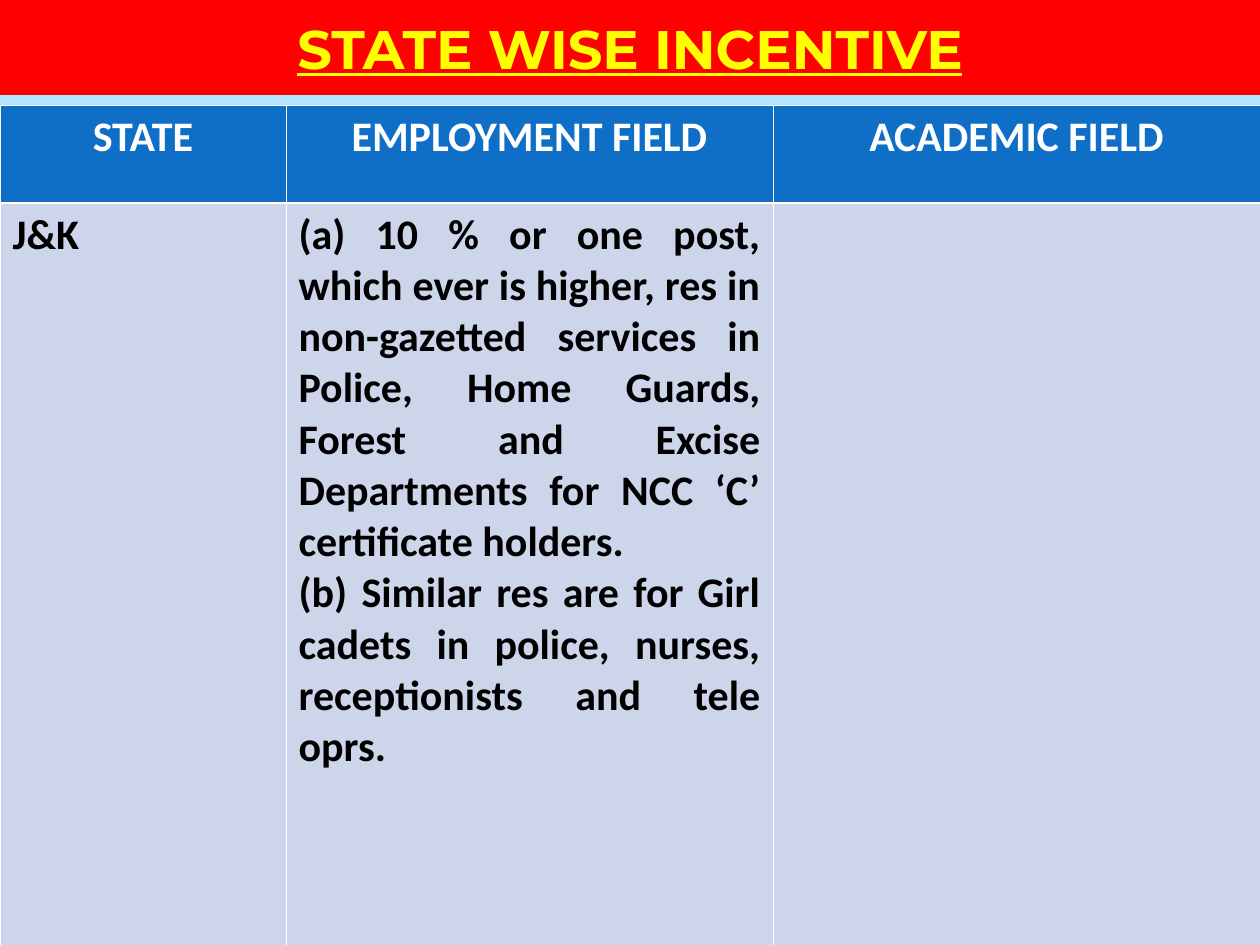
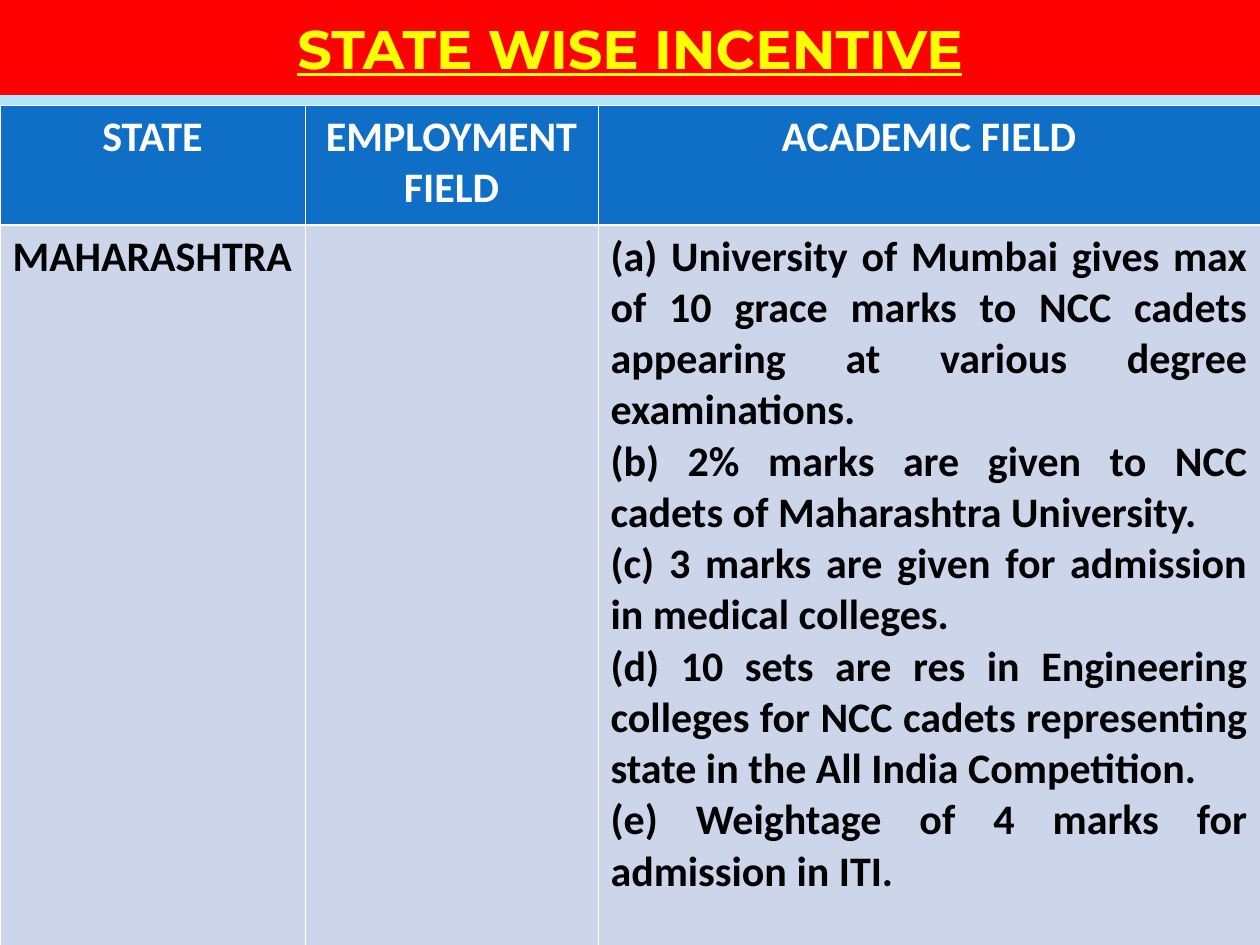
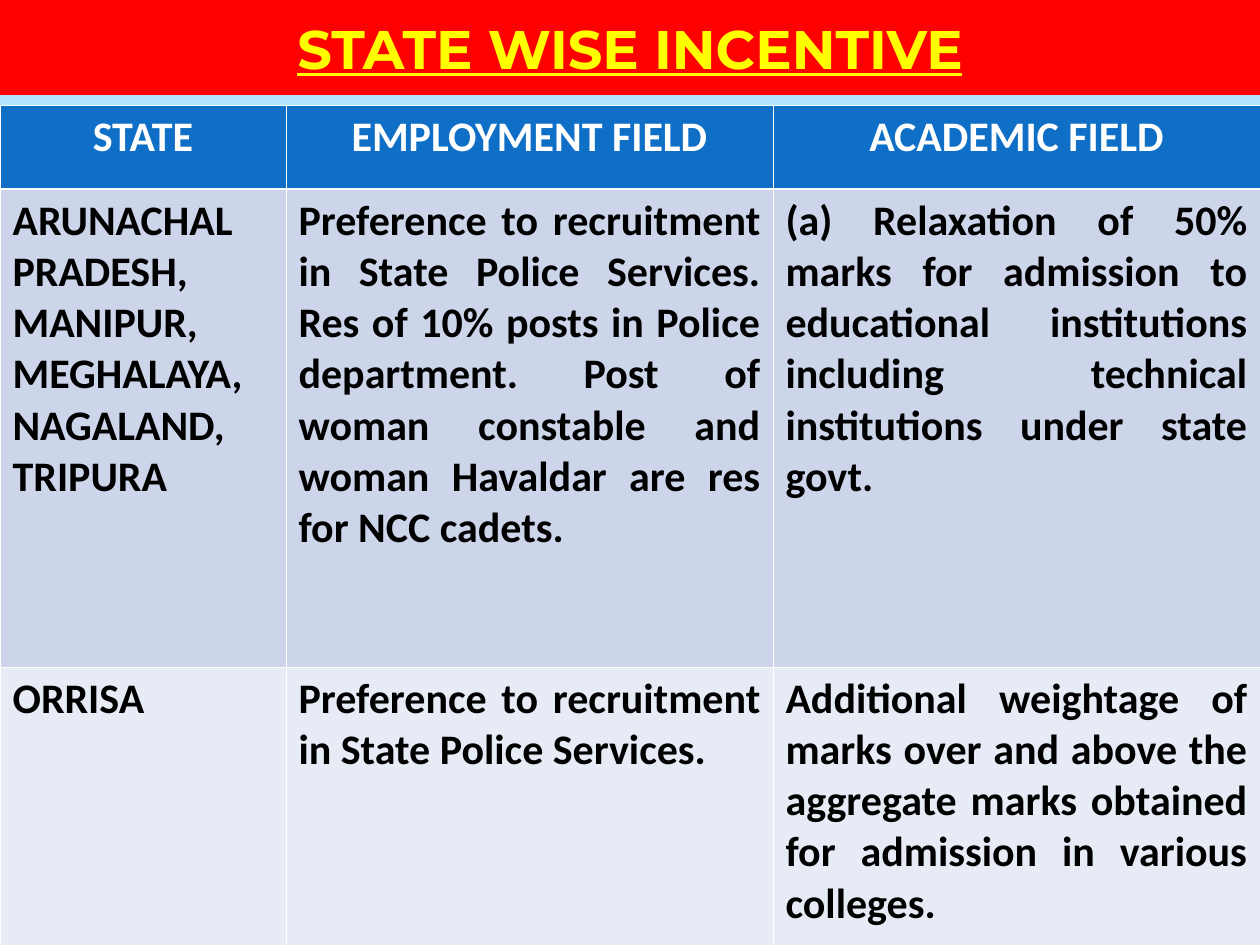
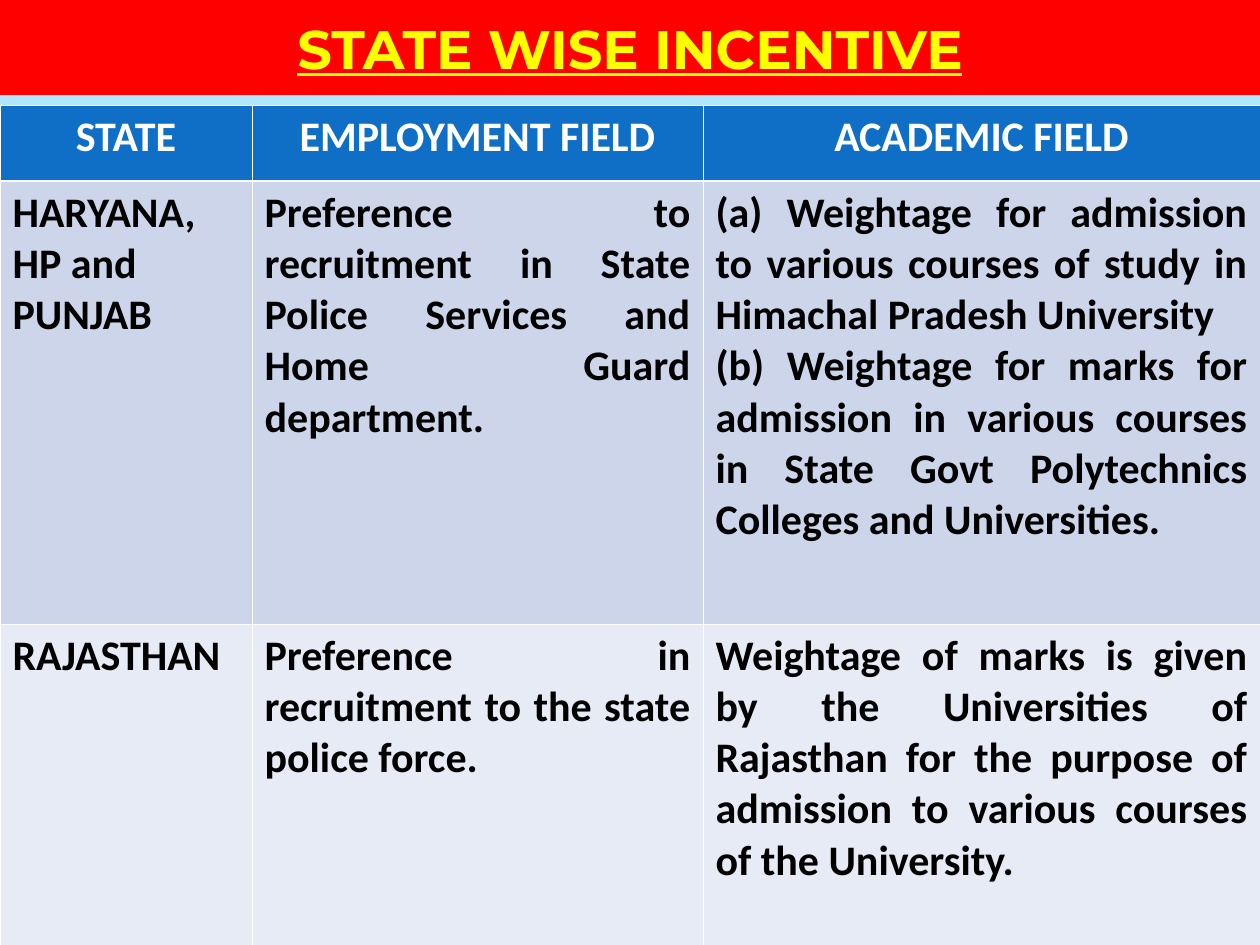
from lxml.etree import SubElement
from pptx import Presentation
from pptx.dml.color import RGBColor
from pptx.enum.shapes import MSO_SHAPE
from pptx.enum.text import MSO_ANCHOR, PP_ALIGN
from pptx.oxml.ns import qn
from pptx.util import Pt

SCALE = 914400 / 126
WIDE, HIGH = 1260, 945
BAND = (0, 0, WIDE, 95)
GRID = (0, 105, WIDE, 840)
TITLE = "STATE WISE INCENTIVE"
HEADS = ["STATE", "EMPLOYMENT FIELD", "ACADEMIC FIELD"]
THIN, THICK = 0.45, 1.47
COLORS = {
    "back": "B2E5FF",
    "band": "FF0000",
    "title": "FFFF00",
    "head": "0F6FC6",
    "odd": "CCD5EA",
    "even": "E7EBF5",
    "line": "FFFFFF",
    "light": "FFFFFF",
    "dark": "000000",
}

# Column widths, row heights and body rows; a cell is a list of paragraphs
PAGES = [
    ((286, 487, 487), (98, 742), [
        [["J&K"],
         ["(a) 10 % or one post, which ever is higher, res in non-gazetted "
          "services in Police, Home Guards, Forest and Excise Departments "
          "for NCC ‘C’ certificate holders.",
          "(b) Similar res are for Girl cadets in police, nurses, "
          "receptionists and tele oprs."],
         []],
    ]),
    ((305, 293, 662), (120, 720), [
        [["MAHARASHTRA"],
         [],
         ["(a) University of Mumbai gives max of 10 grace marks to NCC "
          "cadets appearing at various degree examinations.",
          "(b) 2% marks are given to NCC cadets of Maharashtra University.",
          "(c) 3 marks are given for admission in medical colleges.",
          "(d) 10 sets are res in Engineering colleges for NCC cadets "
          "representing state in the All India Competition.",
          "(e) Weightage of 4 marks for admission in ITI."]],
    ]),
    ((286, 487, 487), (84, 478, 278), [
        [["ARUNACHAL PRADESH, MANIPUR, MEGHALAYA, NAGALAND, TRIPURA"],
         ["Preference to recruitment in State Police Services. Res of 10% "
          "posts in Police department. Post of woman constable and woman "
          "Havaldar are res for NCC cadets."],
         ["(a) Relaxation of 50% marks for admission to educational "
          "institutions including technical institutions under state govt."]],
        [["ORRISA"],
         ["Preference to recruitment in State Police Services."],
         ["Additional weightage of marks over and above the aggregate marks "
          "obtained for admission in various colleges."]],
    ]),
    ((252, 451, 557), (76, 443, 321), [
        [["HARYANA,", "HP and", "PUNJAB"],
         ["Preference to recruitment in State Police Services and Home "
          "Guard department."],
         ["(a) Weightage for admission to various courses of study in "
          "Himachal Pradesh University",
          "(b) Weightage for marks for admission in various courses in State "
          "Govt Polytechnics Colleges and Universities."]],
        [["RAJASTHAN"],
         ["Preference in recruitment to the state police force."],
         ["Weightage of marks is given by the Universities of Rajasthan for "
          "the purpose of admission to various courses of the University."]],
    ]),
]


def px(size):
    return round(size * SCALE)


def paint(fill, name):
    fill.solid()
    fill.fore_color.rgb = RGBColor.from_string(COLORS[name])


def write(frame, texts, align, face, size, color, under=None):
    """Fill a text frame with one bold run per paragraph."""
    for i, text in enumerate(texts):
        para = frame.add_paragraph() if i else frame.paragraphs[0]
        para.alignment = align
        run = para.add_run()
        run.text = text
        font = run.font
        font.name, font.size = face, Pt(size)
        font.bold, font.underline = True, under
        font.color.rgb = RGBColor.from_string(COLORS[color])


def edge(cell, sides):
    """Draw the cell borders; widths are in points."""
    props = cell._tc.get_or_add_tcPr()
    for side, width in sides.items():
        line = SubElement(props, qn(f"a:ln{side}"), w=str(Pt(width)))
        fill = SubElement(line, qn("a:solidFill"))
        SubElement(fill, qn("a:srgbClr"), val=COLORS["line"])


def add_band(slide, box):
    band = slide.shapes.add_shape(MSO_SHAPE.RECTANGLE, *map(px, box))
    band.shadow.inherit = False
    paint(band.fill, "band")
    band.line.fill.background()
    frame = band.text_frame
    frame.word_wrap = True
    frame.vertical_anchor = MSO_ANCHOR.MIDDLE
    write(frame, [TITLE], PP_ALIGN.CENTER, "Montserrat", 31, "title", True)


def add_grid(slide, box, cols, rows, body):
    data = [[[head] for head in HEADS]] + body
    table = slide.shapes.add_table(len(rows), len(cols), *map(px, box)).table
    for col, width in zip(table.columns, cols):
        col.width = px(width)
    for row, height in zip(table.rows, rows):
        row.height = px(height)
    for r, line in enumerate(data):
        # Header row first, then alternating body rows
        if r == 0:
            back, ink, align = "head", "light", PP_ALIGN.CENTER
        else:
            back, ink, align = "odd" if r % 2 else "even", "dark", PP_ALIGN.JUSTIFY
        sides = {"L": THIN, "R": THIN,
                 "T": THICK if r == 1 else THIN,
                 "B": THICK if r == 0 else THIN}
        for c, texts in enumerate(line):
            cell = table.cell(r, c)
            edge(cell, sides)
            paint(cell.fill, back)
            write(cell.text_frame, texts, align, "Calibri", 24, ink)


def add_page(deck, cols, rows, body):
    slide = deck.slides.add_slide(deck.slide_layouts[6])
    paint(slide.background.fill, "back")
    add_band(slide, BAND)
    add_grid(slide, GRID, cols, rows, body)


def main():
    deck = Presentation()
    deck.slide_width, deck.slide_height = px(WIDE), px(HIGH)
    for page in PAGES:
        add_page(deck, *page)
    deck.save("out.pptx")


if __name__ == "__main__":
    main()
